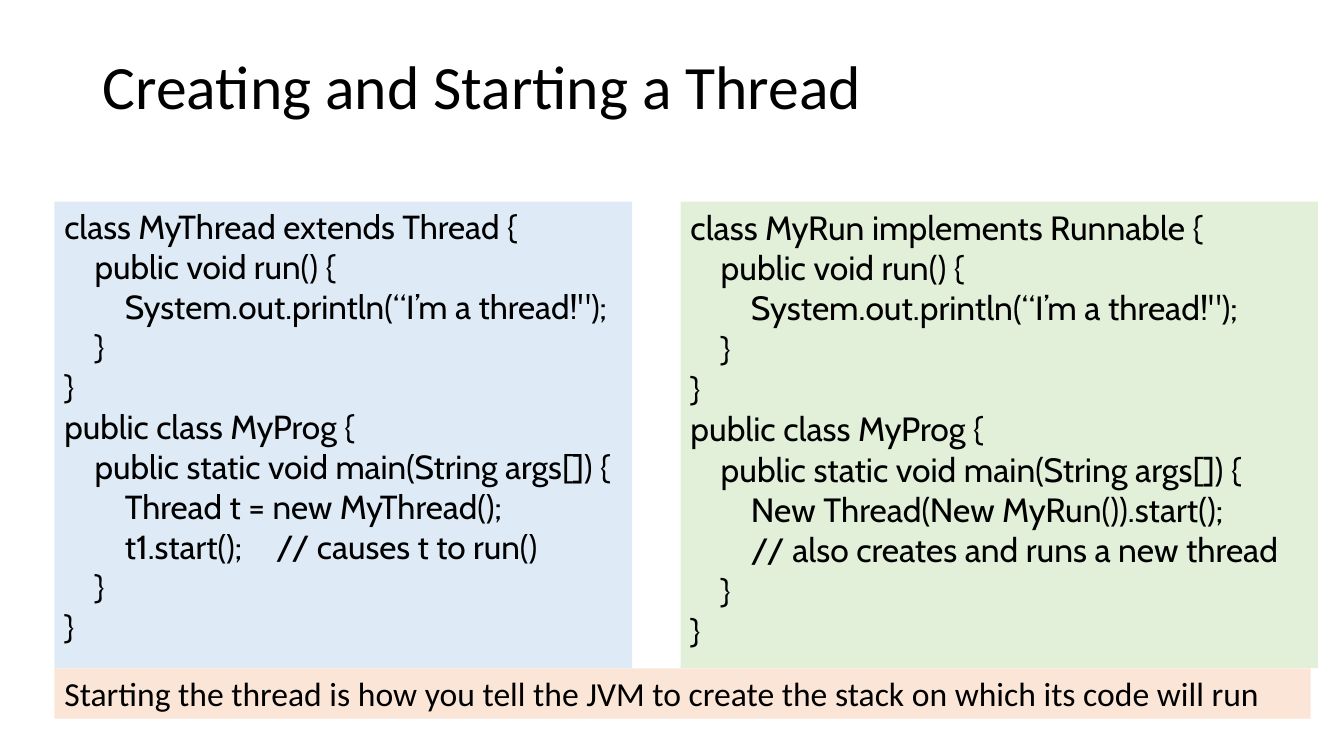
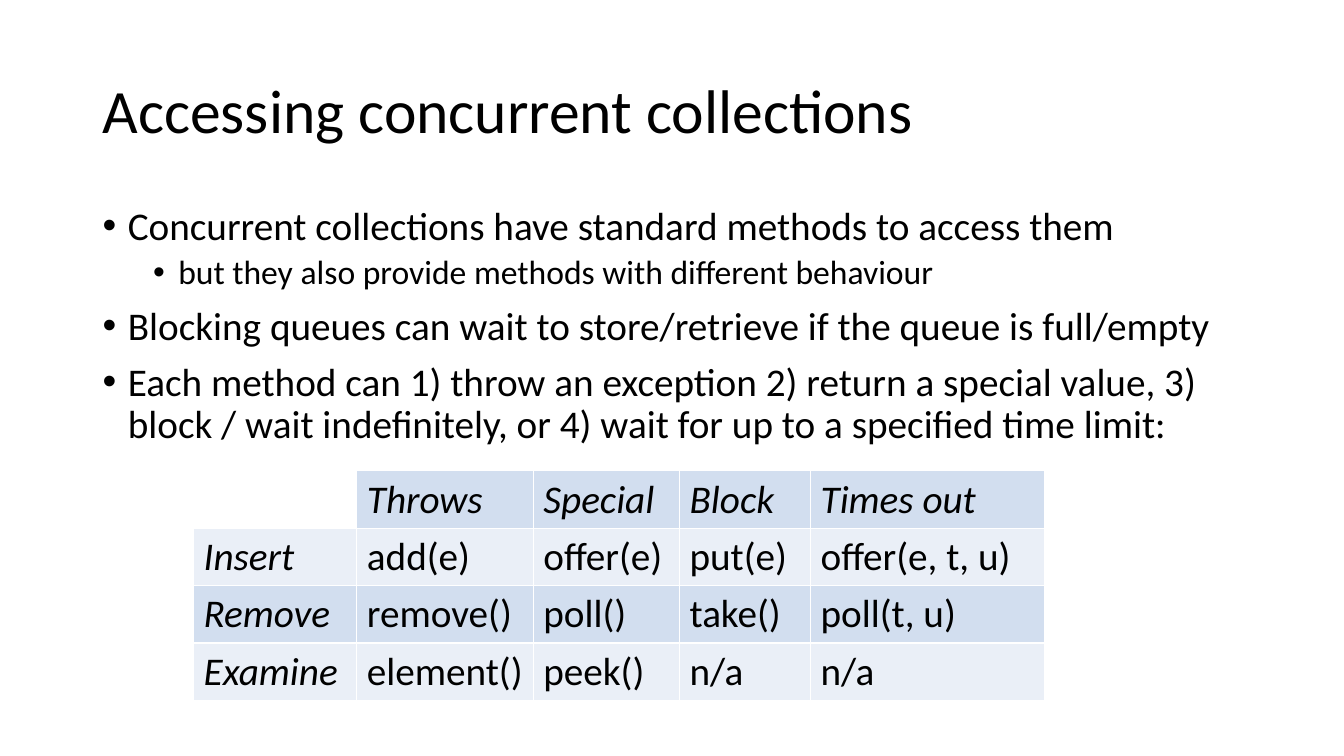
import pptx
import pptx.util
import pptx.dml.color
import pptx.enum.shapes
import pptx.enum.text
import pptx.oxml.ns
import lxml.etree

Inches = pptx.util.Inches
Pt = pptx.util.Pt
RGB = pptx.dml.color.RGBColor
Anchor = pptx.enum.text.MSO_ANCHOR
qn = pptx.oxml.ns.qn

BLACK = RGB(0x00, 0x00, 0x00)
WHITE = RGB(0xFF, 0xFF, 0xFF)
BLUE = RGB(0xDE, 0xEB, 0xF7)
GREEN = RGB(0xE2, 0xF0, 0xD9)
PEACH = RGB(0xFB, 0xE5, 0xD6)
BANDS = RGB(0xD2, 0xDE, 0xEF), RGB(0xEA, 0xEF, 0xF7)
SANS, CODE = "Calibri", "Cabin"
STEP = 0.3  # code indent per level
STOP = 2.06  # tab stop before a trailing code comment

# Code lines as (level, text)
THREAD = [
    (0, "class MyThread extends Thread {"),
    (1, "public void run() {"),
    (2, "System.out.println(“I’m a thread!\");"),
    (1, "}"),
    (0, "}"),
    (0, "public class MyProg {"),
    (1, "public static void main(String args[]) {"),
    (2, "Thread t = new MyThread();"),
    (2, "t1.start();\t// causes t to run()"),
    (1, "}"),
    (0, "}"),
]
RUN = [
    (0, "class MyRun implements Runnable {"),
    *THREAD[1:7],
    (2, "New Thread(New MyRun()).start();"),
    (2, "// also creates and runs a new thread"),
    *THREAD[9:],
]
POINTS = [
    (0, "Concurrent collections have standard methods to access them"),
    (1, "but they also provide methods with different behaviour"),
    (0, "Blocking queues can wait to store/retrieve if the queue is full/empty"),
    (0, "Each method can 1) throw an exception 2) return a special value, 3) "
        "block / wait indefinitely, or 4) wait for up to a specified time limit:"),
]
METHODS = [
    ["", "Throws", "Special", "Block", "Times out"],
    ["Insert", "add(e)", "offer(e)", "put(e)", "offer(e, t, u)"],
    ["Remove", "remove()", "poll()", "take()", "poll(t, u)"],
    ["Examine", "element()", "peek()", "n/a", "n/a"],
]
WIDTHS = [1.62, 1.75, 1.45, 1.3, 2.32]


def style(para, size, face=SANS, slant=False):
    font = para.font
    font.name, font.size, font.italic = face, Pt(size), slant
    font.color.rgb = BLACK


def indent(para, left, hang=0):
    props = para._p.get_or_add_pPr()
    props.set("marL", str(Inches(left)))
    props.set("indent", str(Inches(-hang)))
    return props


def add_paras(frame, lines):
    """Yield each line's level and its new paragraph."""
    frame.word_wrap = True
    for num, (level, text) in enumerate(lines):
        para = frame.add_paragraph() if num else frame.paragraphs[0]
        para.text = text
        yield level, para


def add_title(slide, box, text):
    frame = slide.shapes.add_textbox(*map(Inches, box)).text_frame
    frame.vertical_anchor = Anchor.MIDDLE
    for _, para in add_paras(frame, [(0, text)]):
        para.line_spacing = 0.9
        style(para, 44)


def add_panel(slide, box, color, lines, size, face):
    """Filled box of left-aligned lines, indented by level."""
    kind = pptx.enum.shapes.MSO_SHAPE.RECTANGLE
    panel = slide.shapes.add_shape(kind, *map(Inches, box))
    panel.shadow.inherit = False
    panel.fill.solid()
    panel.fill.fore_color.rgb = color
    panel.line.fill.background()
    frame = panel.text_frame
    frame.vertical_anchor = Anchor.TOP
    for level, para in add_paras(frame, lines):
        para.alignment = pptx.enum.text.PP_ALIGN.LEFT
        style(para, size, face)
        props = indent(para, level * STEP)
        if "\t" in para.text:
            tabs = lxml.etree.Element(qn("a:tabLst"))
            lxml.etree.SubElement(tabs, qn("a:tab"), pos=str(Inches(STOP)), algn="l")
            props.find(qn("a:defRPr")).addprevious(tabs)


def add_points(slide, box, lines):
    frame = slide.shapes.add_textbox(*map(Inches, box)).text_frame
    for level, para in add_paras(frame, lines):
        para.line_spacing = 0.9
        para.space_before = Pt(5 if level else 10)
        style(para, 24 if level else 28)
        props = indent(para, 0.25 + level * 0.5, 0.25)
        font = lxml.etree.Element(qn("a:buFont"), typeface="Arial")
        mark = lxml.etree.Element(qn("a:buChar"), char="•")
        for part in font, mark:
            props.find(qn("a:defRPr")).addprevious(part)


def add_edges(cell):
    """Thin white borders, which precede the fill in the cell's XML."""
    props = cell._tc.get_or_add_tcPr()
    for num, side in enumerate(("lnL", "lnR", "lnT", "lnB")):
        edge = lxml.etree.Element(qn("a:" + side), w=str(Pt(1)))
        fill = lxml.etree.SubElement(edge, qn("a:solidFill"))
        lxml.etree.SubElement(fill, qn("a:srgbClr"), val=str(WHITE))
        props.insert(num, edge)


def add_grid(slide, box, rows, widths):
    shape = slide.shapes.add_table(len(rows), len(widths), *map(Inches, box))
    table = shape.table
    table.first_row = table.horz_banding = False
    for col, width in zip(table.columns, widths):
        col.width = Inches(width)
    for r, row in enumerate(rows):
        for c, text in enumerate(row):
            cell = table.cell(r, c)
            if text:
                cell.text = text
                cell.fill.solid()
                cell.fill.fore_color.rgb = BANDS[r % 2]
            else:
                cell.fill.background()
            style(cell.text_frame.paragraphs[0], 28, slant=r == 0 or c == 0)
            add_edges(cell)


def thread_slide(slide):
    add_title(slide, (0.92, 0.33, 11.5, 1.11), "Creating and Starting a Thread")
    top, high = 2, 4.63
    add_panel(slide, (0.54, top, 5.73, high), BLUE, THREAD, 23.8, CODE)
    add_panel(slide, (6.75, top, 6.32, high), GREEN, RUN, 24, CODE)
    note = ("Starting the thread is how you tell the JVM to create "
            "the stack on which its code will run")
    add_panel(slide, (0.54, top + high, 12.46, 0.5), PEACH, [(0, note)], 24, SANS)


def access_slide(slide):
    add_title(slide, (0.92, 0.4, 11.5, 1.45), "Accessing concurrent collections")
    add_points(slide, (0.92, 2, 11.5, 2.53), POINTS)
    add_grid(slide, (1.92, 4.67, sum(WIDTHS), 2.28), METHODS, WIDTHS)


deck = pptx.Presentation()
deck.slide_width, deck.slide_height = Inches(13.33), Inches(7.5)
for build in thread_slide, access_slide:
    build(deck.slides.add_slide(deck.slide_layouts[6]))
deck.save("out.pptx")
